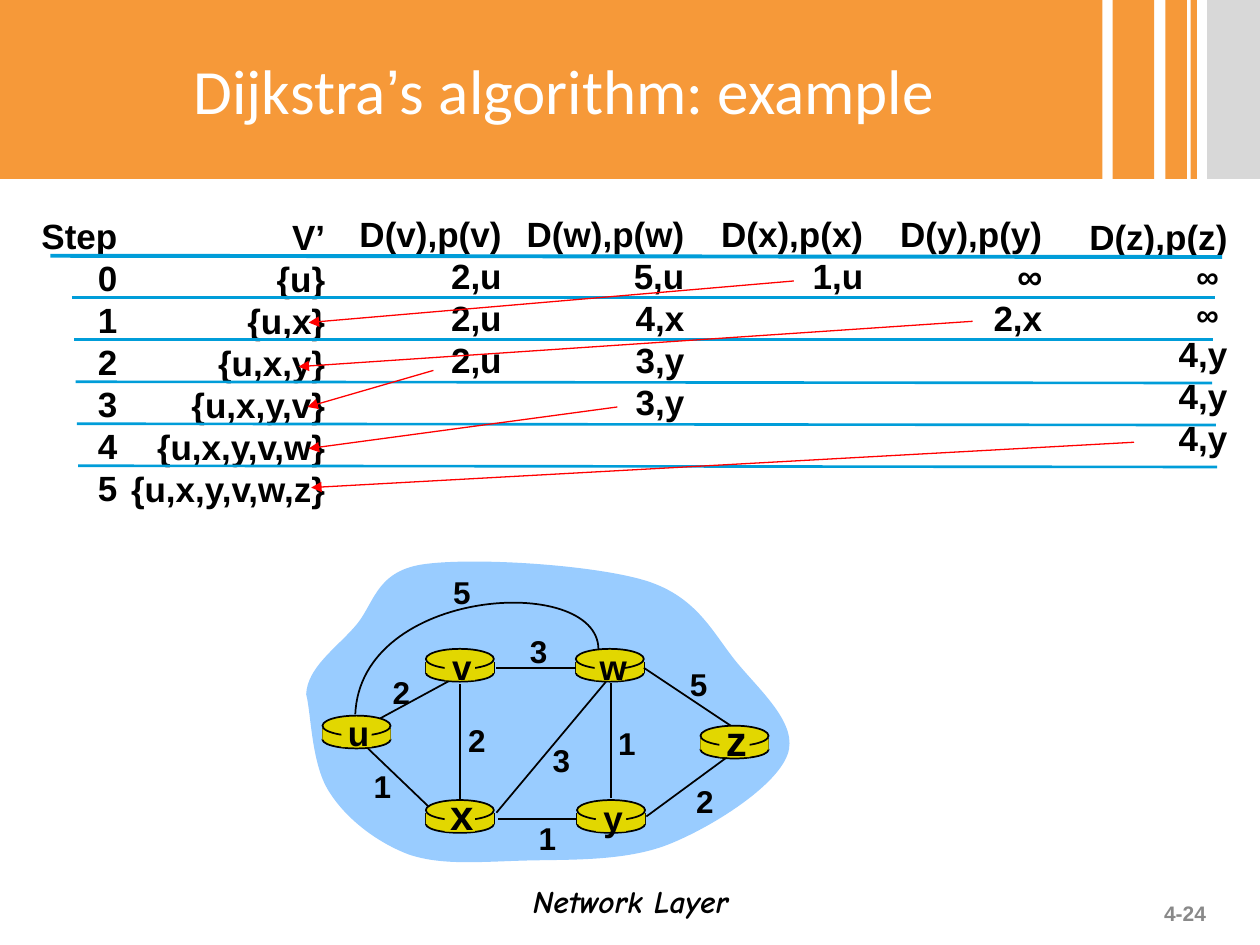
from collections import namedtuple
from dataclasses import dataclass

from lxml import etree
from pptx import Presentation
from pptx.dml.color import RGBColor
from pptx.enum.shapes import MSO_CONNECTOR, MSO_SHAPE
from pptx.enum.text import MSO_ANCHOR, PP_ALIGN
from pptx.oxml.ns import qn
from pptx.util import Cm, Pt

RECTANGLE, OVAL = MSO_SHAPE.RECTANGLE, MSO_SHAPE.OVAL
STRAIGHT = MSO_CONNECTOR.STRAIGHT
CENTER, RIGHT = PP_ALIGN.CENTER, PP_ALIGN.RIGHT
TOP, MIDDLE = MSO_ANCHOR.TOP, MSO_ANCHOR.MIDDLE
TITLE_ONLY = 5
ROW = 1 / 3

Box = namedtuple("Box", "left top width height")


@dataclass(frozen=True)
class Theme:
    """Colours, fonts and type sizes of the slide."""
    orange: str = "F69939"
    gray: str = "D8D8D8"
    number: str = "898989"
    white: str = "FFFFFF"
    ink: str = "000000"
    rule: str = "009DD9"
    arrow: str = "FF0000"
    cloud: str = "99CCFF"
    router: str = "E2D700"
    body_font: str = "Arial"
    title_font: str = "Calibri"
    footer_font: str = "Comic Neue"
    title: float = 36
    large: float = 24
    body: float = 20
    label: float = 18
    small: float = 12
    leading: float = 1.2


THEME = Theme()

COLUMNS = [
    (0, 0.01, 0.85, ["Step", "0", "1", "2", "3", "4", "5"]),
    (0.6, 0.02, 1.9, ["V’", "{u}", "{u,x}", "{u,x,y}", "{u,x,y,v}", "{u,x,y,v,w}", "{u,x,y,v,w,z}"]),
    (2.55, 0, 1.35, ["D(v),p(v)", "2,u", "2,u", "2,u"]),
    (3.83, 0, 1.52, ["D(w),p(w)", "5,u", "4,x", "3,y", "3,y"]),
    (5.35, 0, 1.42, ["D(x),p(x)", "1,u"]),
    (6.77, 0, 1.42, ["D(y),p(y)", "∞", "2,x"]),
    (8.14, 0.02, 1.52, ["D(z),p(z)", "∞ ", "∞ ", "4,y", "4,y", "4,y"]),
]
RULES = [(0.22, 9.52, 0.01), (0.39, 9.46, 0), (0.41, 9.45, 0),
         (0.42, 9.44, 0.01), (0.43, 9.47, 0.01), (0.44, 9.48, 0.01)]
CHOICES = [
    (6.12, 0.59, 2.27, 0.92), (7.54, 0.91, 2.19, 1.27), (3.26, 1.3, 2.26, 1.59),
    (4.72, 1.59, 2.27, 1.92), (8.82, 1.87, 2.29, 2.23),
]
ROUTERS = {
    "u": (0.13, 1.26, THEME.body), "y": (2.15, 1.93, THEME.body), "x": (0.95, 1.93, THEME.large),
    "w": (2.14, 0.73, THEME.body), "v": (0.95, 0.73, THEME.body), "z": (3.13, 1.34, THEME.large),
}
EDGES = [
    (0.59, 1.28, 1.18, 0.96), (2.42, 1, 2.42, 1.91), (1.22, 1.01, 1.22, 1.94),
    (1.51, 2.03, 2.38, 0.99), (2.7, 2.06, 3.34, 1.59), (2.15, 2.08, 1.52, 2.08),
    (0.97, 1.98, 0.49, 1.52), (2.14, 0.88, 1.51, 0.88), (3.37, 1.34, 2.68, 0.88),
]
WEIGHTS = [
    ("2", 0.75, 0.87), ("2", 1.35, 1.25), ("1", 0.6, 1.62), ("3", 2.02, 1.41), ("1", 1.91, 2.03),
    ("1", 2.54, 1.28), ("2", 3.16, 1.74), ("5", 3.11, 0.81), ("3", 1.84, 0.55), ("5", 1.23, 0.08),
]
CLOUD = [
    (0, 1.09), (0.01, 0.88), (0.23, 0.73), (0.38, 0.56), (0.54, 0.39), (0.54, 0.12), (0.92, 0.06),
    (1.31, 0), (2.28, 0.06), (2.7, 0.19), (3.11, 0.32), (3.23, 0.61), (3.42, 0.84),
    (3.61, 1.07), (3.91, 1.33), (3.82, 1.57), (3.73, 1.82), (3.23, 2.14), (2.88, 2.28),
    (2.53, 2.42), (2.07, 2.4), (1.73, 2.41), (1.38, 2.42), (1.07, 2.45), (0.81, 2.36),
    (0.55, 2.26), (0.31, 2.07), (0.18, 1.86), (0.04, 1.64), (0.04, 1.24), (0, 1.09),
]
ARC = [(2.32, 0.73), (2.31, 0.13), (0.43, 0.24), (0.39, 1.25)]


def length(inches):
    """Convert inches to a slide length."""
    return Cm(inches * 2.54)


def inside(box, left, top, width, height):
    """Return a box placed relative to another box."""
    return Box(box.left + left, box.top + top, width, height)


def apply_format(target, values):
    """Set each named attribute on an object."""
    for name, value in values.items():
        setattr(target, name, value)


def paint(shape, fill=None, line=None, weight=1):
    """Set fill and outline and drop the shadow."""
    shape.shadow.inherit = False
    if fill:
        shape.fill.solid()
        shape.fill.fore_color.rgb = RGBColor.from_string(fill)
    else:
        shape.fill.background()
    if line:
        shape.line.color.rgb = RGBColor.from_string(line)
        shape.line.width = Pt(weight)
    else:
        shape.line.fill.background()


def add_block(shapes, preset, box, fill, line=None):
    """Add a preset shape."""
    paint(shapes.add_shape(preset, *map(length, box)), fill, line)


def add_line(shapes, box, ends, color, weight=1, arrow=False):
    """Add a straight line between two points of a box."""
    x1, y1, x2, y2 = ends
    points = (box.left + x1, box.top + y1, box.left + x2, box.top + y2)
    line = shapes.add_connector(STRAIGHT, *map(length, points))
    line.line.color.rgb = RGBColor.from_string(color)
    line.line.width = Pt(weight)
    properties = line._element.spPr
    if arrow:
        etree.SubElement(properties.find(qn("a:ln")), qn("a:tailEnd"), type="triangle")
    etree.SubElement(properties, qn("a:effectLst"))


def add_curve(shapes, box, controls, fill=None, line=None):
    """Add an outline of chained cubic curves through its control points."""
    placed = [(length(box.left + x), length(box.top + y)) for x, y in controls]
    builder = shapes.build_freeform(*placed[0])
    builder.add_line_segments(placed[1:], close=fill is not None)
    shape = builder.convert_to_shape()
    segments = list(shape._element.iter(qn("a:lnTo")))
    for start in range(0, len(controls) - 1, 3):
        curve = etree.Element(qn("a:cubicBezTo"))
        segments[start].addprevious(curve)
        for segment in segments[start:start + 3]:
            curve.append(segment[0])
            segment.getparent().remove(segment)
    paint(shape, fill, line)


def write_run(paragraph, text, size, color, name, **styles):
    """Add a formatted run to a paragraph."""
    run = paragraph.add_run()
    run.text = text
    apply_format(run.font, {"size": Pt(size), "name": name, **styles})
    run.font.color.rgb = RGBColor.from_string(color)


def add_text(shapes, box, rows, align, size=THEME.body, color=THEME.ink,
             name=THEME.body_font, anchor=TOP, italic=None):
    """Add a text box with one paragraph per row."""
    frame = shapes.add_textbox(*map(length, box)).text_frame
    apply_format(frame, {"word_wrap": True, "vertical_anchor": anchor})
    for index, row in enumerate(rows):
        paragraph = frame.paragraphs[0] if index == 0 else frame.add_paragraph()
        row_size = THEME.label if row == "∞ " else size
        apply_format(paragraph, {"alignment": align, "line_spacing": Pt(row_size * THEME.leading)})
        write_run(paragraph, row, row_size, color, name, bold=True, italic=italic)


def build_header(slide, box):
    """Place the title band and the stripes to its right."""
    stripes = [(8.83, 0.33, THEME.orange), (9.25, 0.17, THEME.orange),
               (9.45, 0.05, THEME.orange), (9.58, 0.42, THEME.gray)]
    for left, width, color in stripes:
        add_block(slide.shapes, RECTANGLE, inside(box, left, 0, width, box.height), color)
    title = slide.shapes.title
    band = inside(box, 0, 0, 8.75, box.height)
    apply_format(title, {key: length(value) for key, value in band._asdict().items()})
    title.fill.solid()
    title.fill.fore_color.rgb = RGBColor.from_string(THEME.orange)
    apply_format(title.text_frame, {"vertical_anchor": MIDDLE, "margin_left": length(0.3)})
    paragraph = title.text_frame.paragraphs[0]
    paragraph.alignment = CENTER
    for text, name in [("Dijkstra", THEME.title_font), ("’", THEME.body_font),
                       ("s algorithm: example", THEME.title_font)]:
        write_run(paragraph, text, THEME.title, THEME.white, name)


def build_steps(slide, box):
    """Place the step columns, row rules and choice arrows."""
    for left, top, width, rows in COLUMNS:
        add_text(slide.shapes, inside(box, left, top, width, 0.1 + ROW * len(rows)), rows, RIGHT)
    for index, (start, end, drop) in enumerate(RULES):
        y = 0.39 + ROW * index
        add_line(slide.shapes, box, (start, y, end, y + drop), THEME.rule, 1.5 if index else 2.25)
    for ends in CHOICES:
        add_line(slide.shapes, box, ends, THEME.arrow, 0.75, arrow=True)


def build_router(shapes, box):
    """Draw a router as a flat cylinder."""
    add_block(shapes, OVAL, inside(box, 0, 0.12, box.width, 0.14), THEME.router, THEME.ink)
    for x in (0, box.width):
        add_line(shapes, box, (x, 0.1, x, 0.19), THEME.ink)
    add_block(shapes, RECTANGLE, inside(box, 0, 0.1, box.width, 0.09), THEME.router)
    add_block(shapes, OVAL, inside(box, 0, 0, box.width, 0.16), THEME.router, THEME.ink)


def build_network(slide, box):
    """Place the weighted graph on its cloud."""
    shapes = slide.shapes.add_group_shape().shapes
    add_curve(shapes, box, CLOUD, fill=THEME.cloud)
    add_line(shapes, box, EDGES[0], THEME.ink)
    for left, top, _ in ROUTERS.values():
        build_router(shapes, inside(box, left, top, 0.54, 0.26))
    for ends in EDGES[1:]:
        add_line(shapes, box, ends, THEME.ink)
    add_curve(shapes, box, ARC, line=THEME.ink)
    for name, (left, top, size) in ROUTERS.items():
        add_block(shapes, RECTANGLE, inside(box, left + 0.15, top + 0.02, 0.24, 0.23), THEME.router)
        rise, height = (0.14, 0.5) if size == THEME.large else (0.08, 0.43)
        add_text(shapes, inside(box, left + 0.09, top - rise, 0.39, height), [name], CENTER, size)
    for weight, center, top in WEIGHTS:
        add_text(shapes, inside(box, center - 0.17, top, 0.35, 0.4), [weight], CENTER, THEME.label)


def build_footer(slide, box):
    """Place the chapter name and page number."""
    add_text(slide.shapes, inside(box, 3.42, 0, 3.17, 0.4), ["Network Layer"], CENTER,
             THEME.label, name=THEME.footer_font, italic=True)
    add_text(slide.shapes, inside(box, 8.93, 0.05, 0.74, 0.5), ["4-24"], RIGHT,
             THEME.small, THEME.number, anchor=MIDDLE)


def main():
    """Build and save the slide."""
    presentation = Presentation()
    apply_format(presentation, {"slide_width": length(10), "slide_height": length(7.5)})
    slide = presentation.slides.add_slide(presentation.slide_layouts[TITLE_ONLY])
    build_header(slide, Box(0, 0, 10, 1.42))
    build_steps(slide, Box(0.18, 1.64, 9.66, 2.48))
    build_network(slide, Box(2.43, 4.42, 3.91, 2.45))
    build_footer(slide, Box(0, 6.95, 10, 0.55))
    presentation.save("out.pptx")


if __name__ == "__main__":
    main()
